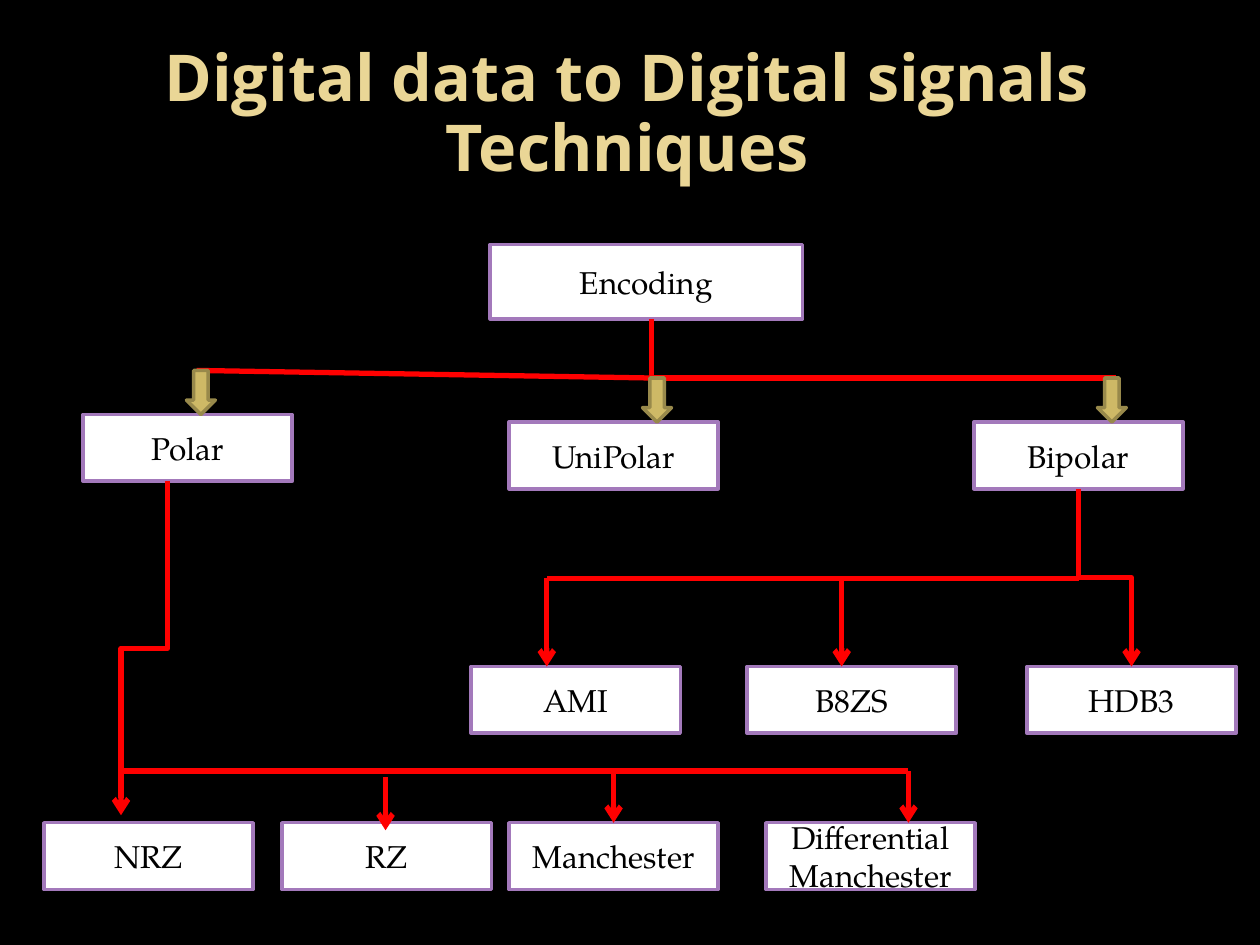
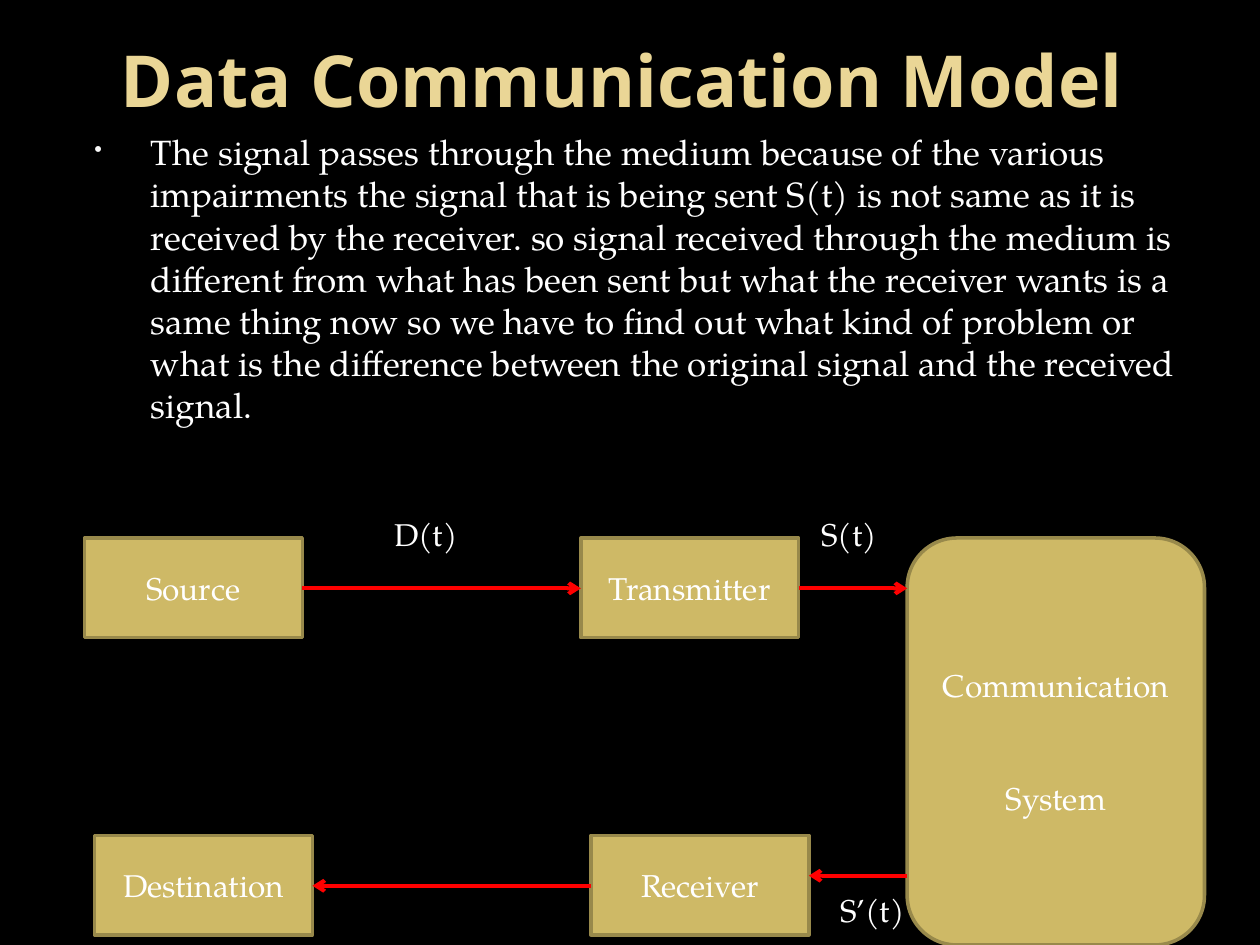
from dataclasses import dataclass
from typing import NamedTuple

from lxml import etree
from pptx import Presentation
from pptx.dml.color import RGBColor
from pptx.enum.shapes import MSO_CONNECTOR, MSO_SHAPE
from pptx.enum.text import MSO_ANCHOR, PP_ALIGN
from pptx.oxml.ns import qn
from pptx.util import Inches, Pt

RECT = MSO_SHAPE.RECTANGLE
ROUND = MSO_SHAPE.FLOWCHART_ALTERNATE_PROCESS
DOWN = MSO_SHAPE.DOWN_ARROW
STRAIGHT, ELBOW = MSO_CONNECTOR.STRAIGHT, MSO_CONNECTOR.ELBOW
CENTER, LEFT = PP_ALIGN.CENTER, PP_ALIGN.LEFT
MIDDLE, TOP = MSO_ANCHOR.MIDDLE, MSO_ANCHOR.TOP
TITLE_ONLY = 5

WIDTH, HEIGHT = Inches(10), Inches(7.5)
COL, ROW = WIDTH / 100, HEIGHT / 75


@dataclass(frozen=True)
class Theme:
    back: str = "000000"
    title: str = "EAD696"
    light: str = "FFFFFF"
    dark: str = "000000"
    bullet: str = "F9F9F9"
    gold: str = "CEB966"
    bronze: str = "98894B"
    violet: str = "A379BB"
    wire: str = "FF0000"
    head: str = "Open Sans"
    text: str = "TeX Gyre Pagella"
    label: float = 18
    body: float = 20
    edge: float = 2


THEME = Theme()


class Look(NamedTuple):
    fill: str
    edge: str
    ink: str


WHITE = Look(THEME.light, THEME.violet, THEME.dark)
GOLD = Look(THEME.gold, THEME.bronze, THEME.light)


class Area(NamedTuple):
    """Left, top, width and height in grid columns and rows."""
    x: float
    y: float
    w: float
    h: float

    def frame(self) -> tuple[int, int, int, int]:
        return (round(self.x * COL), round(self.y * ROW),
                round(self.w * COL), round(self.h * ROW))


@dataclass(frozen=True)
class Box:
    label: str
    area: Area
    look: Look
    kind: MSO_SHAPE = RECT
    gap: float = 0


class Wire(NamedTuple):
    start: tuple[float, float]
    end: tuple[float, float]
    arrow: bool = True


def color(code: str) -> RGBColor:
    return RGBColor.from_string(code)


def style(para, face: str, size: float, ink: str, align=CENTER) -> None:
    para.alignment = align
    para.font.name = face
    para.font.size = Pt(size)
    para.font.color.rgb = color(ink)


def add_title(slide, text: str, size: float, area: Area, pitch: float) -> None:
    title = slide.shapes.title
    title.left, title.top, title.width, title.height = area.frame()
    frame = title.text_frame
    frame.text = text
    frame.word_wrap = True
    frame.vertical_anchor = MIDDLE
    para = frame.paragraphs[0]
    style(para, THEME.head, size, THEME.title)
    para.font.bold = True
    para.line_spacing = pitch


def add_box(slide, box: Box) -> None:
    shape = slide.shapes.add_shape(box.kind, *box.area.frame())
    shape.shadow.inherit = False
    shape.fill.solid()
    shape.fill.fore_color.rgb = color(box.look.fill)
    shape.line.color.rgb = color(box.look.edge)
    shape.line.width = Pt(THEME.edge)
    if not box.label:
        return
    frame = shape.text_frame
    frame.text = box.label
    frame.word_wrap = True
    frame.vertical_anchor = MIDDLE
    for i, para in enumerate(frame.paragraphs):
        style(para, THEME.text, THEME.label, box.look.ink)
        if i:
            para.space_before = Pt(box.gap)


def add_text(slide, text: str, area: Area, size: float):
    """Add light, left-aligned text and return its paragraph."""
    frame = slide.shapes.add_textbox(*area.frame()).text_frame
    frame.text = text
    frame.word_wrap = True
    frame.vertical_anchor = TOP
    para = frame.paragraphs[0]
    style(para, THEME.text, size, THEME.light, LEFT)
    return para


def add_bullet(slide, text: str, area: Area) -> None:
    para = add_text(slide, "", area, THEME.body)
    props = para._p.get_or_add_pPr()
    props.set("marL", str(Inches(0.6)))
    props.set("indent", str(Inches(-0.45)))
    tint = etree.Element(qn("a:buClr"))
    etree.SubElement(tint, qn("a:srgbClr"), val=THEME.bullet)
    size = etree.Element(qn("a:buSzPct"), val="65000")
    mark = etree.Element(qn("a:buChar"), char="•")
    for i, item in enumerate((tint, size, mark)):
        props.insert(i, item)
    para.add_run().text = text


def add_wire(slide, wire: Wire, weight: float, kind=STRAIGHT):
    ends = [round(n * unit) for point in (wire.start, wire.end)
            for n, unit in zip(point, (COL, ROW))]
    line = slide.shapes.add_connector(kind, *ends)
    line.line.color.rgb = color(THEME.wire)
    line.line.width = Pt(weight)
    props = line._element.spPr
    if wire.arrow:
        etree.SubElement(props.find(qn("a:ln")), qn("a:tailEnd"), type="arrow")
    etree.SubElement(props, qn("a:effectLst"))
    return line


def add_elbow(slide, wire: Wire, weight: float) -> None:
    """Draw a wire that goes down, across and down, as a turned elbow."""
    (x1, y1), (x2, y2) = wire.start, wire.end
    mid_x, mid_y = (x1 + x2) / 2, (y1 + y2) / 2
    right = x2 > x1
    long = (y2 - y1) / 2 * (1 if right else -1)
    short = abs(x2 - x1) / 2
    flat = Wire((mid_x + long, mid_y - short), (mid_x - long, mid_y + short))
    line = add_wire(slide, flat, weight, ELBOW)
    turn = 270 if right else 90
    line._element.spPr.find(qn("a:xfrm")).set("rot", str(turn * 60000))


def draw_tree(slide) -> None:
    add_title(slide, "Digital data to Digital signals Techniques", 36.9,
              Area(4.8, 2.5, 90, 13.4), 0.9)
    add_box(slide, Box("Encoding", Area(38.9, 19.4, 24.8, 5.9), WHITE))
    nodes = (
        ("Polar", 6.6, 32.9), ("UniPolar", 40.4, 33.5), ("Bipolar", 77.3, 33.5),
        ("AMI", 37.4, 52.9), ("B8ZS", 59.3, 52.9), ("HDB3", 81.5, 52.9),
        ("NRZ", 3.5, 65.3), ("RZ", 22.4, 65.3), ("Manchester", 40.4, 65.3),
        ("Differential Manchester", 60.8, 65.3),
    )
    for label, x, y in nodes:
        add_box(slide, Box(label, Area(x, y, 16.6, 5.3), WHITE))

    hub, fork, rail = (51.7, 30), 45.9, 61.2
    bars = (
        Wire((51.7, 25.3), hub, False),
        Wire(hub, (15.6, 29.4), False),
        Wire(hub, (88.6, 30), False),
        Wire((85.6, fork), (43.4, fork), False),
        Wire((72.1, rail), (9.6, rail), False),
    )
    drops = [Wire((x, fork), (x, 52.9)) for x in (43.4, 66.8)]
    drops += [Wire((x, rail), (x, 65.3)) for x in (72.1, 48.7)]
    drops.append(Wire((30.6, 61.7), (30.6, 65.9)))
    for wire in (*bars, *drops):
        add_wire(slide, wire, 3)
    for wire in (Wire((85.6, 38.8), (89.8, 52.9)),
                 Wire((13.3, 38.2), (9.6, 64.7))):
        add_elbow(slide, wire, 3)
    for x, y in ((14.8, 29.4), (51, 30), (87.1, 30)):
        add_box(slide, Box("", Area(x, y, 2.3, 3.5), GOLD, DOWN))


def draw_model(slide) -> None:
    add_title(slide, "Data Communication Model", 41,
              Area(4.4, 0, 90, 12.5), 1)
    add_bullet(slide, (
        "The signal passes through the medium because of the various "
        "impairments the signal that is being sent S(t) is not same as it is "
        "received by the receiver. so signal received through the medium is "
        "different from what has been sent but what the receiver wants is a "
        "same thing now so we have to find out what kind of problem or what is "
        "the difference between the original signal and the received signal."
    ), Area(5, 9.9, 90, 59.1))
    for label, x, y in (("Source", 6.7, 42.7), ("Transmitter", 46.1, 42.7),
                        ("Receiver", 46.9, 66.3), ("Destination", 7.5, 66.3)):
        add_box(slide, Box(label, Area(x, y, 17.3, 7.9), GOLD))
    add_box(slide, Box("Communication\nSystem", Area(72, 42.7, 23.6, 32.3),
                       GOLD, ROUND, gap=43))
    for x1, x2, y in ((24, 46.1, 46.7), (63.4, 72, 46.7),
                      (46.9, 24.8, 70.3), (72, 64.2, 69.5)):
        add_wire(slide, Wire((x1, y), (x2, y)), 2.25)
    for label, x, y in (("D(t)", 30.3, 40.4), ("S(t)", 64.2, 40.4),
                        ("S’(t)", 65.7, 70.2)):
        add_text(slide, label, Area(x, y, 9.4, 4), THEME.label)


def main() -> None:
    deck = Presentation()
    deck.slide_width, deck.slide_height = WIDTH, HEIGHT
    back = deck.slide_master.background.fill
    back.solid()
    back.fore_color.rgb = color(THEME.back)
    for draw in (draw_tree, draw_model):
        draw(deck.slides.add_slide(deck.slide_layouts[TITLE_ONLY]))
    deck.save("out.pptx")


if __name__ == "__main__":
    main()
